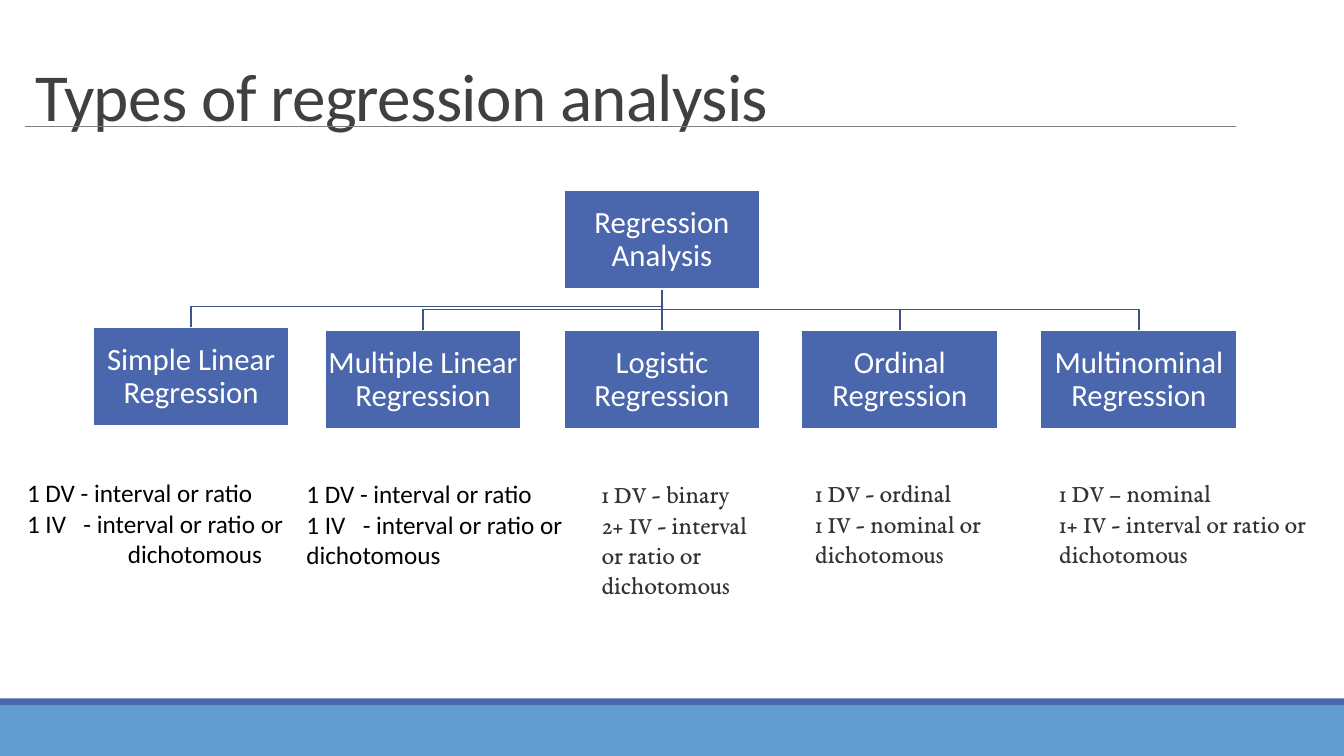
from dataclasses import dataclass

import pptx
import pptx.dml.color
import pptx.enum.shapes
import pptx.enum.text
import pptx.oxml.ns
import pptx.util
from lxml import etree
from pptx.dml.color import RGBColor
from pptx.enum.text import MSO_ANCHOR, PP_ALIGN
from pptx.util import Inches, Pt

WHITE = RGBColor(0xFF, 0xFF, 0xFF)
BLACK = RGBColor(0x00, 0x00, 0x00)
NAVY = RGBColor(0x4A, 0x66, 0xAC)
SKY = RGBColor(0x62, 0x9D, 0xD1)
BRANCH_BLUE = RGBColor(0x3B, 0x52, 0x8A)
RULE_GRAY = RGBColor(0x80, 0x80, 0x80)
TITLE_GRAY = RGBColor(0x40, 0x40, 0x40)
NOTE_GRAY = RGBColor(0x33, 0x33, 0x33)

SANS, SERIF = "Calibri", "EB Garamond"
BOX_WIDTH, BOX_HEIGHT = 1.95, 0.98
ROOT_LEFT, ROOT_TOP = 5.59, 1.89
BRANCH_DROP = 0.21
DASH_TAB = 0.56


@dataclass(frozen=True)
class NoteLine:
    text: str
    indent: float = 0


@dataclass(frozen=True)
class Regression:
    name: str
    left: float
    top: float
    note_left: float
    note_top: float
    note_width: float
    note_height: float
    font: str
    color: RGBColor
    lines: tuple[NoteLine, ...]


REGRESSIONS = (
    Regression("Simple Linear Regression", 0.92, 3.25, 0.17, 4.69, 2.83, 1.01, SANS, BLACK,
               (NoteLine("1 DV - interval or ratio"),
                NoteLine("1 IV\t- interval or ratio or"),
                NoteLine("dichotomous", 1))),
    Regression("Multiple Linear Regression", 3.22, 3.28, 2.94, 4.7, 2.85, 1.01, SANS, BLACK,
               (NoteLine("1 DV - interval or ratio"),
                NoteLine("1 IV\t- interval or ratio or dichotomous"))),
    Regression("Logistic Regression", 5.59, 3.28, 5.87, 4.7, 1.82, 1.31, SERIF, NOTE_GRAY,
               (NoteLine("1 DV - binary"),
                NoteLine("2+ IV - interval"),
                NoteLine("or ratio or dichotomous"))),
    Regression("Ordinal Regression", 7.95, 3.28, 7.99, 4.69, 2, 1.01, SERIF, NOTE_GRAY,
               (NoteLine("1 DV - ordinal"),
                NoteLine("1 IV - nominal or dichotomous"))),
    Regression("Multinominal Regression", 10.32, 3.28, 10.41, 4.69, 2.76, 1.01, SERIF, NOTE_GRAY,
               (NoteLine("1 DV – nominal"),
                NoteLine("1+ IV - interval or ratio or dichotomous"))),
)


def style_text(paragraph, font: str, size: float, color: RGBColor) -> None:
    paragraph.font.name = font
    paragraph.font.size = Pt(size)
    paragraph.font.color.rgb = color


def add_rectangle(slide, left: float, top: float, width: float, height: float, fill: RGBColor):
    rectangle = slide.shapes.add_shape(
        pptx.enum.shapes.MSO_SHAPE.RECTANGLE,
        Inches(left), Inches(top), Inches(width), Inches(height))
    rectangle.shadow.inherit = False
    rectangle.fill.solid()
    rectangle.fill.fore_color.rgb = fill
    rectangle.line.fill.background()
    return rectangle


def add_straight(slide, x1: float, y1: float, x2: float, y2: float, color: RGBColor, width: float):
    straight = slide.shapes.add_connector(
        pptx.enum.shapes.MSO_CONNECTOR.STRAIGHT,
        Inches(x1), Inches(y1), Inches(x2), Inches(y2))
    straight.line.color.rgb = color
    straight.line.width = Pt(width)
    etree.SubElement(straight._element.spPr, pptx.oxml.ns.qn("a:effectLst"))
    return straight


def add_branch(slide, regression: Regression):
    """Draw the line from the root box; return it if it is a connector."""
    root_x, root_y = ROOT_LEFT + BOX_WIDTH / 2, ROOT_TOP + BOX_HEIGHT
    child_x, child_y = regression.left + BOX_WIDTH / 2, regression.top
    if regression.left == ROOT_LEFT:
        return add_straight(slide, root_x, root_y, child_x, child_y, BRANCH_BLUE, 1.25)
    bend_y = child_y - BRANCH_DROP
    outline = slide.shapes.build_freeform(Inches(root_x), Inches(root_y))
    corners = ((root_x, bend_y), (child_x, bend_y), (child_x, child_y))
    outline.add_line_segments([(Inches(x), Inches(y)) for x, y in corners], close=False)
    branch = outline.convert_to_shape()
    branch.shadow.inherit = False
    branch.fill.background()
    branch.line.color.rgb = BRANCH_BLUE
    branch.line.width = Pt(1.25)
    return None


def add_box(slide, name: str, left: float, top: float):
    box = add_rectangle(slide, left, top, BOX_WIDTH, BOX_HEIGHT, NAVY)
    box.line.color.rgb = WHITE
    box.line.width = Pt(1.25)
    frame = box.text_frame
    frame.word_wrap = True
    frame.vertical_anchor = MSO_ANCHOR.MIDDLE
    frame.margin_left = frame.margin_right = Inches(0.02)
    frame.margin_top = frame.margin_bottom = Inches(0.02)
    label = frame.paragraphs[0]
    label.text = name
    label.alignment = PP_ALIGN.CENTER
    label.line_spacing = 0.9
    style_text(label, SANS, 22, WHITE)
    return box


def add_note(slide, regression: Regression) -> None:
    note = slide.shapes.add_textbox(
        Inches(regression.note_left), Inches(regression.note_top),
        Inches(regression.note_width), Inches(regression.note_height))
    frame = note.text_frame
    frame.word_wrap = True
    for index, line in enumerate(regression.lines):
        paragraph = frame.add_paragraph() if index else frame.paragraphs[0]
        paragraph.text = line.text
        style_text(paragraph, regression.font, 18, regression.color)
        properties = paragraph._p.get_or_add_pPr()
        if line.indent:
            properties.set("marL", str(Inches(line.indent)))
        if "\t" in line.text:
            stops = etree.Element(pptx.oxml.ns.qn("a:tabLst"))
            etree.SubElement(stops, pptx.oxml.ns.qn("a:tab"),
                             pos=str(Inches(DASH_TAB)), algn="l")
            properties.insert(0, stops)


def add_title(slide, text: str) -> None:
    title = slide.shapes.title
    title.left, title.top = Inches(0.25), Inches(0.45)
    title.width, title.height = Inches(12.03), Inches(0.94)
    frame = title.text_frame
    frame.auto_size = pptx.enum.text.MSO_AUTO_SIZE.NONE
    frame.vertical_anchor = MSO_ANCHOR.BOTTOM
    heading = frame.paragraphs[0]
    heading.text = text
    heading.alignment = PP_ALIGN.LEFT
    heading.line_spacing = 0.85
    style_text(heading, SANS, 48, TITLE_GRAY)
    heading.runs[0].font._element.set("spc", "-50")


def main() -> None:
    deck = pptx.Presentation()
    deck.slide_width, deck.slide_height = Inches(13.33), Inches(7.5)
    slide = deck.slides.add_slide(deck.slide_layouts[5])

    # Footer bands, title and rule
    add_rectangle(slide, 0, 7, 13.33, 0.5, SKY)
    add_rectangle(slide, 0, 6.93, 13.33, 0.07, NAVY)
    add_straight(slide, 0.25, 1.25, 12.26, 1.25, RULE_GRAY, 0.5)
    add_title(slide, "Types of regression analysis")

    # Tree: branches lie behind the boxes
    branches = [add_branch(slide, regression) for regression in reversed(REGRESSIONS)]
    root = add_box(slide, "Regression Analysis", ROOT_LEFT, ROOT_TOP)
    for regression, branch in zip(REGRESSIONS, reversed(branches)):
        box = add_box(slide, regression.name, regression.left, regression.top)
        if branch is not None:
            branch.begin_connect(root, 2)
            branch.end_connect(box, 0)

    # Variables needed for each type
    for regression in REGRESSIONS:
        add_note(slide, regression)

    deck.save("out.pptx")


if __name__ == "__main__":
    main()
